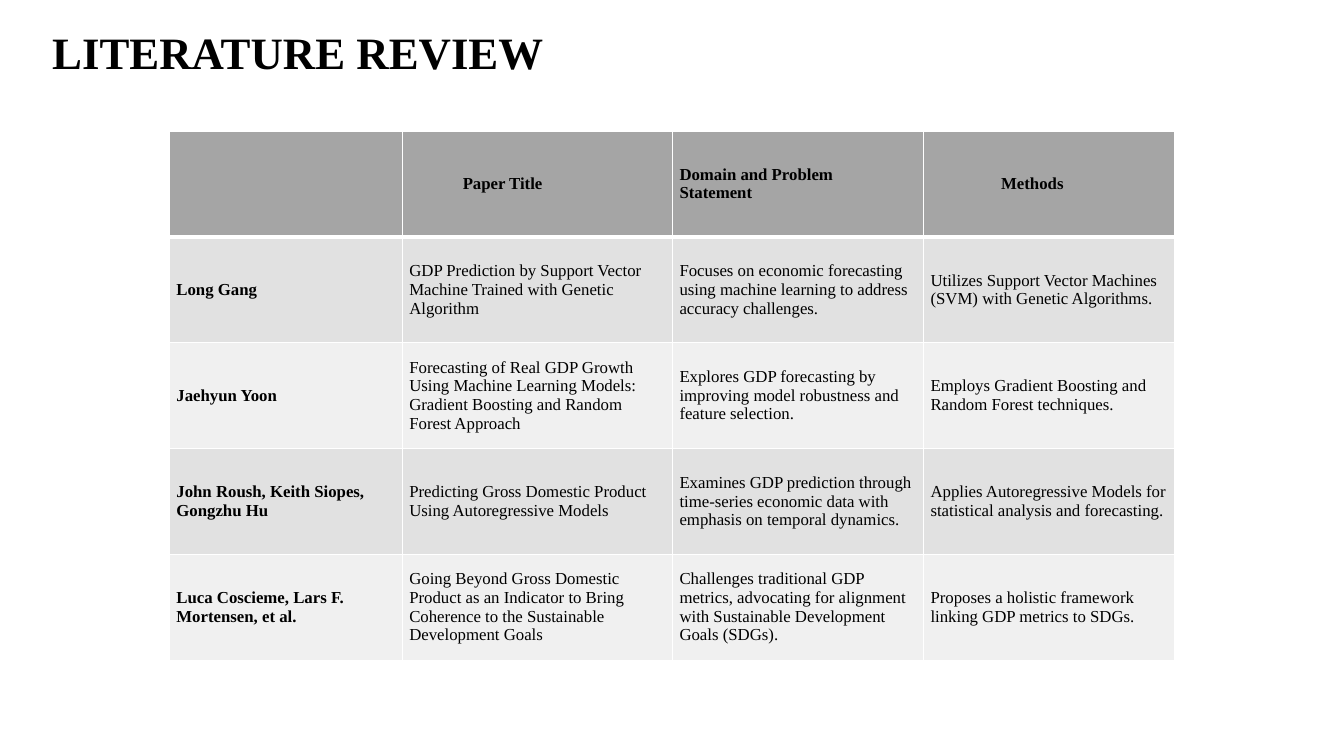
import pptx
import pptx.util
import pptx.dml.color
import pptx.enum.text
import pptx.oxml

Inches, Pt = pptx.util.Inches, pptx.util.Pt
RGB = pptx.dml.color.RGBColor.from_string
FONT = "Times New Roman"
COLORS = {"text": "000000", "border": "FFFFFF", "header": "A5A5A5",
          "odd": "E1E1E1", "even": "F0F0F0"}
COL_WIDTHS = [2.31, 2.68, 2.49, 2.49]
ROW_HEIGHT = 1.05
HEADER_MARGINS = [(0.07, 0.07), (0.6, 0.07), (0.07, 0.4), (0.77, 0.07)]
REVIEW = [
    ("", "Paper Title", "Domain and Problem Statement", "Methods"),
    ("Long Gang",
     "GDP Prediction by Support Vector Machine Trained with Genetic Algorithm",
     "Focuses on economic forecasting using machine learning to address accuracy challenges.",
     "Utilizes Support Vector Machines (SVM) with Genetic Algorithms."),
    ("Jaehyun Yoon",
     "Forecasting of Real GDP Growth Using Machine Learning Models: Gradient Boosting and Random Forest Approach",
     "Explores GDP forecasting by improving model robustness and feature selection.",
     "Employs Gradient Boosting and Random Forest techniques."),
    ("John Roush, Keith Siopes, Gongzhu Hu",
     "Predicting Gross Domestic Product Using Autoregressive Models",
     "Examines GDP prediction through time-series economic data with emphasis on temporal dynamics.",
     "Applies Autoregressive Models for statistical analysis and forecasting."),
    ("Luca Coscieme, Lars F. Mortensen, et al.",
     "Going Beyond Gross Domestic Product as an Indicator to Bring Coherence to the Sustainable Development Goals",
     "Challenges traditional GDP metrics, advocating for alignment with Sustainable Development Goals (SDGs).",
     "Proposes a holistic framework linking GDP metrics to SDGs."),
]


def style_text(p, size, bold):
    p.font.name = FONT
    p.font.size = Pt(size)
    p.font.bold = bold
    p.font.color.rgb = RGB(COLORS["text"])


def add_border(cell, side, width):
    cell._tc.get_or_add_tcPr().append(pptx.oxml.parse_xml(
        f'<a:{side} xmlns:a="http://schemas.openxmlformats.org/drawingml/2006/main" '
        f'w="{Pt(width)}"><a:solidFill><a:srgbClr val="{COLORS["border"]}"/>'
        f'</a:solidFill></a:{side}>'))


prs = pptx.Presentation()
prs.slide_width, prs.slide_height = Inches(13.33), Inches(7.5)
s = prs.slides.add_slide(prs.slide_layouts[6])

title = s.shapes.add_textbox(Inches(0.42), Inches(0.2), Inches(5.23), Inches(0.64))
tf = title.text_frame
tf.word_wrap = False
tf.auto_size = pptx.enum.text.MSO_AUTO_SIZE.SHAPE_TO_FIT_TEXT
p = tf.paragraphs[0]
p.text = "LITERATURE REVIEW"
style_text(p, 32, True)

table = s.shapes.add_table(
    len(REVIEW), len(COL_WIDTHS), Inches(1.68), Inches(1.3),
    Inches(sum(COL_WIDTHS)), Inches(ROW_HEIGHT * len(REVIEW))).table
table.horz_banding = False
for column, width in zip(table.columns, COL_WIDTHS):
    column.width = Inches(width)

for i, entry in enumerate(REVIEW):
    table.rows[i].height = Inches(ROW_HEIGHT)
    band = "header" if i == 0 else "odd" if i % 2 else "even"
    for j, text in enumerate(entry):
        cell = table.cell(i, j)
        left, right = HEADER_MARGINS[j] if i == 0 else (0.07, 0.07)
        cell.margin_left, cell.margin_right = Inches(left), Inches(right)
        cell.margin_top = cell.margin_bottom = Inches(0.03)
        cell.vertical_anchor = pptx.enum.text.MSO_ANCHOR.MIDDLE
        for side, width in (("lnL", 1), ("lnR", 1), ("lnT", 3 if i == 1 else 1),
                            ("lnB", 3 if i == 0 else 1)):
            add_border(cell, side, width)
        cell.fill.solid()
        cell.fill.fore_color.rgb = RGB(COLORS[band])
        p = cell.text_frame.paragraphs[0]
        p.text = text
        style_text(p, 12, i == 0 or j == 0)

prs.save("out.pptx")
